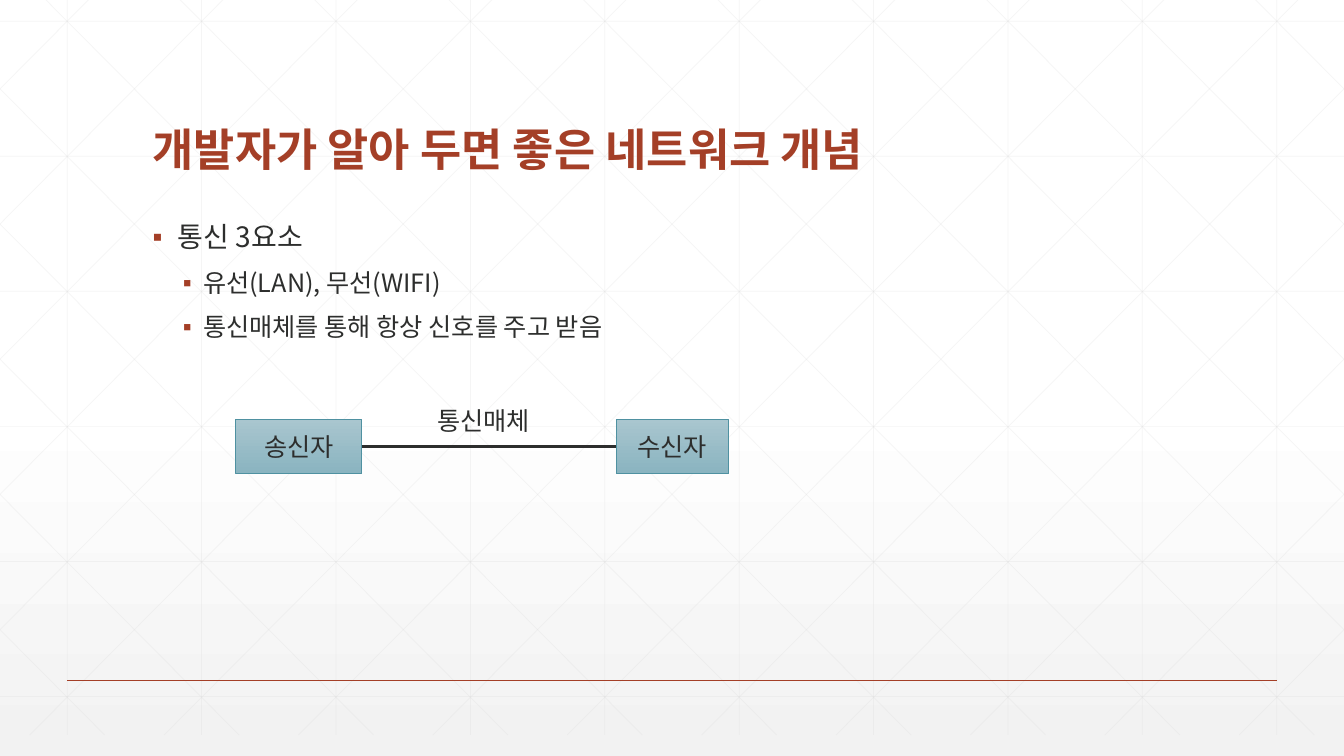
from dataclasses import dataclass

from lxml import etree
from pptx import Presentation
from pptx import util as u
from pptx.dml.color import RGBColor
from pptx.enum import shapes, text
from pptx.oxml.ns import qn

W, H = u.Inches(13.333), u.Inches(7.5)
COLS, ROWS = 160, 90
GOTHIC, SANS = "Noto Sans CJK KR", "Arial"
RUST, INK, MESH = "A43F27", "2D2E2D", "D9D9D9"
TOP, BOTTOM, CELL, SLOPE = -2.5, 87.5, 16, 1.006


@dataclass
class Area:
    col: float
    row: float
    cols: float
    rows: float

    def emu(self) -> tuple:
        return x(self.col), y(self.row), x(self.cols), y(self.rows)


@dataclass
class Style:
    size: float
    font: str
    color: str = INK
    bold: bool = False


@dataclass
class Bullet:
    words: str
    size: float
    margin: float
    hang: float
    before: float


@dataclass
class Node:
    words: str
    area: Area


def x(cols: float) -> int:
    return u.Emu(round(W * cols / COLS))


def y(rows: float) -> int:
    return u.Emu(round(H * rows / ROWS))


def rgb(code: str) -> RGBColor:
    return RGBColor.from_string(code)


def shade(fill, first: tuple, last: tuple) -> None:
    fill.gradient()
    fill.gradient_angle = 270
    for stop, (position, color) in zip(fill.gradient_stops, (first, last)):
        stop.position = position
        stop.color.rgb = rgb(color)


def add_line(s, start: tuple, end: tuple, color: str, width: float, alpha: int = 100) -> None:
    c = s.shapes.add_connector(shapes.MSO_CONNECTOR.STRAIGHT, x(start[0]), y(start[1]), x(end[0]), y(end[1]))
    c.line.color.rgb = rgb(color)
    c.line.width = u.Pt(width)
    if alpha < 100:
        tint = c.line._ln.find(".//" + qn("a:srgbClr"))
        etree.SubElement(tint, qn("a:alpha"), val=str(alpha * 1000))
    etree.SubElement(c._element.spPr, qn("a:effectLst"))


def add_run(p, words: str, style: Style) -> None:
    r = p.add_run()
    r.text = words
    r.font.size = u.Pt(style.size)
    r.font.name = style.font
    r.font.bold = style.bold
    r.font.color.rgb = rgb(style.color)
    etree.SubElement(r._r.get_or_add_rPr(), qn("a:ea"), typeface=GOTHIC)


def add_text(s, area: Area, anchor=text.MSO_ANCHOR.TOP, wrap: bool = True):
    tf = s.shapes.add_textbox(*area.emu()).text_frame
    tf.word_wrap = wrap
    tf.vertical_anchor = anchor
    return tf


def add_bullet(p, bullet: Bullet, first: bool) -> None:
    pPr = p._p.get_or_add_pPr()
    pPr.set("marL", str(u.Inches(bullet.margin)))
    pPr.set("indent", str(-u.Inches(bullet.hang)))
    tint = etree.SubElement(pPr, qn("a:buClr"))
    etree.SubElement(tint, qn("a:srgbClr"), val=RUST)
    etree.SubElement(pPr, qn("a:buFont"), typeface=SANS)
    etree.SubElement(pPr, qn("a:buChar"), char="▪")
    p.line_spacing = 0.9
    p.space_before = u.Pt(0 if first else bullet.before)
    add_run(p, bullet.words, Style(bullet.size, GOTHIC))


def add_node(s, node: Node) -> None:
    sp = s.shapes.add_shape(shapes.MSO_SHAPE.RECTANGLE, *node.area.emu())
    sp.shadow.inherit = False
    shade(sp.fill, (0, "A9C6CF"), (1, "8AB4C0"))
    sp.line.color.rgb = rgb("4F91A1")
    sp.line.width = u.Pt(0.5)
    tf = sp.text_frame
    tf.vertical_anchor = text.MSO_ANCHOR.MIDDLE
    p = tf.paragraphs[0]
    p.alignment = text.PP_ALIGN.CENTER
    add_run(p, node.words, Style(18, SANS))


def add_mesh(s) -> None:
    segments = [((col, TOP), (col, BOTTOM)) for col in range(CELL // 2, COLS, CELL)]
    segments += [((0, 2.52 + 16.08 * i), (COLS, 2.52 + 16.08 * i)) for i in range(6)]
    for origin in range(3 - 5 * CELL, COLS, CELL):
        left = max(origin, 0)
        right = min(origin + (BOTTOM - TOP) / SLOPE, COLS)
        upper, lower = (TOP + (col - origin) * SLOPE for col in (left, right))
        segments.append(((left, upper), (right, lower)))
        segments.append(((COLS - left, upper), (COLS - right, lower)))
    for start, end in segments:
        add_line(s, start, end, MESH, 0.5, 25)


BULLETS = [
    Bullet("통신 3요소", 20, 0.25, 0.25, 18),
    Bullet("유선(LAN), 무선(WIFI)", 18, 0.5, 0.2, 12),
    Bullet("통신매체를 통해 항상 신호를 주고 받음", 18, 0.5, 0.2, 12),
]
NODES = [
    Node("송신자", Area(28.08, 49.92, 15, 6.48)),
    Node("수신자", Area(73.32, 49.92, 13.44, 6.48)),
]


def main() -> None:
    prs = Presentation()
    prs.slide_width, prs.slide_height = W, H
    s = prs.slides.add_slide(prs.slide_layouts[6])
    shade(s.background.fill, (0.53, "FFFFFF"), (1, "F2F2F2"))
    add_mesh(s)
    add_line(s, (8, 81), (152, 81), RUST, 1)

    title = add_text(s, Area(17, 6.6, 126, 15), text.MSO_ANCHOR.BOTTOM).paragraphs[0]
    title.line_spacing = 0.9
    add_run(title, "개발자가 알아 두면 좋은 네트워크 개념", Style(32, GOTHIC, RUST, True))

    tf = add_text(s, Area(17, 26, 126, 50))
    for i, bullet in enumerate(BULLETS):
        add_bullet(tf.add_paragraph() if i else tf.paragraphs[0], bullet, i == 0)

    for node in NODES:
        add_node(s, node)
    sender, receiver = (node.area for node in NODES)
    middle = sender.row + sender.rows / 2
    add_line(s, (sender.col + sender.cols, middle), (receiver.col, middle), INK, 1.5)
    label = add_text(s, Area(50.88, 47.64, 14.52, 4.8), wrap=False)
    add_run(label.paragraphs[0], "통신매체", Style(18, SANS))

    prs.save("out.pptx")


if __name__ == "__main__":
    main()
